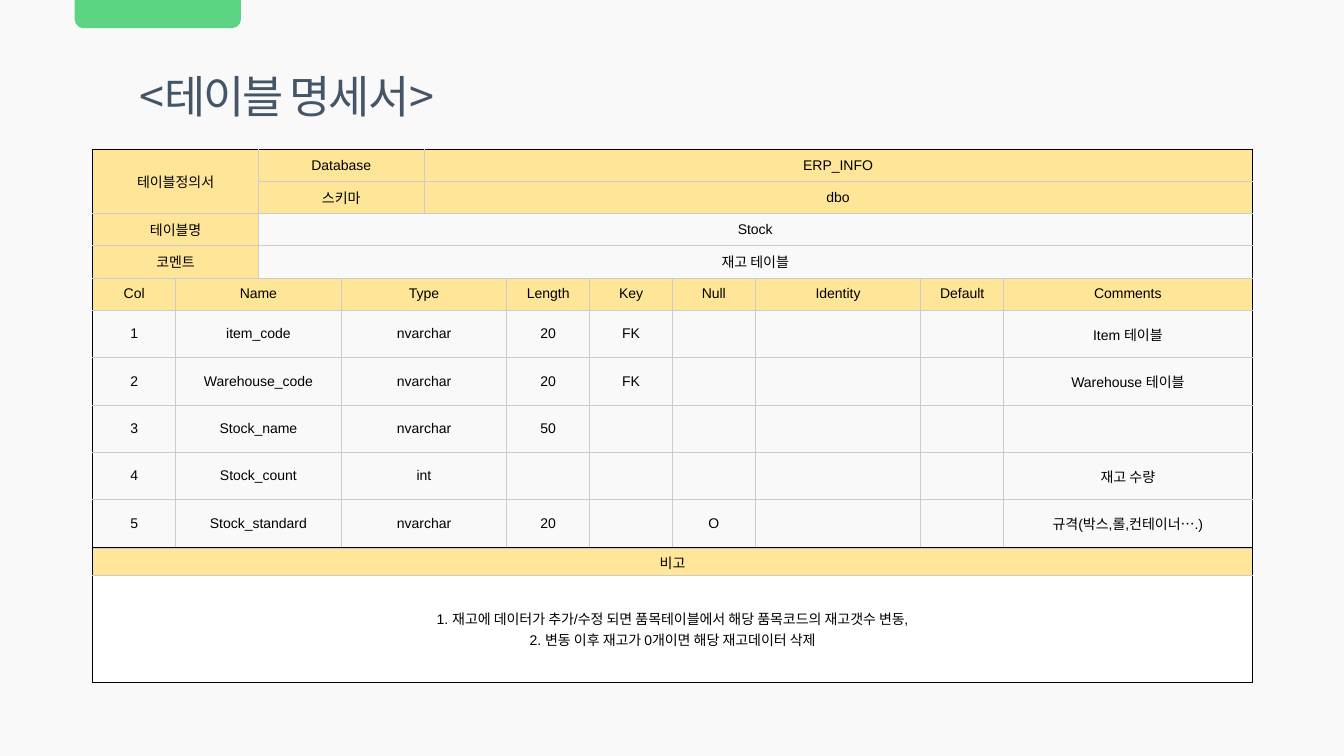
from dataclasses import dataclass
from itertools import accumulate

from pptx import Presentation
from pptx.dml.color import RGBColor
from pptx.enum.shapes import MSO_SHAPE
from pptx.enum.text import MSO_ANCHOR, MSO_AUTO_SIZE, PP_ALIGN
from pptx.oxml import parse_xml
from pptx.oxml.ns import nsdecls
from pptx.util import Inches, Pt


@dataclass(frozen=True)
class Theme:
    """Colours, fonts and type sizes of the slide."""
    page: str = "F9F9F9"
    tab: str = "5CD484"
    title: str = "445566"
    ink: str = "000000"
    grid: str = "CCCCCC"
    header: str = "FFE598"
    remark: str = "FFE699"
    note: str = "FFFFFF"
    latin: str = "Arial"
    korean: str = "Noto Sans CJK KR"
    title_size: float = 32
    cell_size: float = 10
    line: float = 0.75


T = Theme()
WIDTH, HEIGHT = 13.33, 7.5
LEFT, TOP, TABLE_WIDTH = 0.92, 1.48, 11.5
UNIT = TABLE_WIDTH / 14
COLUMNS = [UNIT] * 8 + [2 * UNIT, UNIT, 3 * UNIT]
ROWS = [0.32] * 5 + [0.47] * 5
REMARK_ROWS = [0.27, 1.06]
TAB_LEFT = 0.74
FIELD_SPANS = (1, 2, 2, 1, 1, 1, 1, 1, 1)
FIELDS = [
    ("Col", "Name", "Type", "Length", "Key", "Null", "Identity", "Default", "Comments"),
    ("1", "item_code", "nvarchar", "20", "FK", "", "", "", "Item 테이블"),
    ("2", "Warehouse_code", "nvarchar", "20", "FK", "", "", "", "Warehouse 테이블"),
    ("3", "Stock_name", "nvarchar", "50", "", "", "", "", ""),
    ("4", "Stock_count", "int", "", "", "", "", "", "재고 수량"),
    ("5", "Stock_standard", "nvarchar", "20", "", "O", "", "", "규격(박스,롤,컨테이너….)"),
]
NOTE = ("1. 재고에 데이터가 추가/수정 되면 품목테이블에서 해당 품목코드의 재고갯수 변동,\v"
        "2. 변동 이후 재고가 0개이면 해당 재고데이터 삭제")


def rgb(color):
    """Turn a hex string into a colour."""
    return RGBColor.from_string(color)


def write(tf, text, size=T.cell_size, color=T.ink, font=T.latin, spacing=None):
    """Put centred, formatted text into a text frame."""
    p = tf.paragraphs[0]
    p.text = text
    p.alignment = PP_ALIGN.CENTER
    for r in p.runs:
        r.font.size, r.font.name = Pt(size), font
        r.font.color.rgb = rgb(color)
        rPr = r.font._element
        rPr.append(parse_xml(f'<a:ea {nsdecls("a")} typeface="{T.korean}"/>'))
        if spacing is not None:
            rPr.set("spc", str(round(spacing * 100)))


def add_tab(s):
    """Draw the green tab hanging from the top edge."""
    sp = s.shapes.add_shape(MSO_SHAPE.ROUND_2_SAME_RECTANGLE, Inches(TAB_LEFT), 0,
                            Inches(1.65), Inches(0.28))
    sp.adjustments[0], sp.adjustments[1] = 0, 0.32
    sp.shadow.inherit = False
    sp.fill.solid()
    sp.fill.fore_color.rgb = rgb(T.tab)
    sp.line.fill.background()


def add_title(s, text):
    """Add the slide heading."""
    tf = s.shapes.add_textbox(Inches(TAB_LEFT), Inches(0.63), Inches(4.21),
                              Inches(0.64)).text_frame
    tf.word_wrap = True
    tf.auto_size = MSO_AUTO_SIZE.SHAPE_TO_FIT_TEXT
    write(tf, text, size=T.title_size, color=T.title, font=T.korean, spacing=-1.5)


def add_table(s, top, columns, rows):
    """Add an empty table with the given column widths and row heights."""
    table = s.shapes.add_table(len(rows), len(columns), Inches(LEFT), Inches(top),
                               Inches(sum(columns)), Inches(sum(rows))).table
    table.first_row = table.horz_banding = False
    for column, width in zip(table.columns, columns):
        column.width = Inches(width)
    for row, height in zip(table.rows, rows):
        row.height = Inches(height)
    return table


def set_borders(cell, **colors):
    """Draw the cell's edges in the given colours."""
    tcPr = cell._tc.get_or_add_tcPr()
    for side, color in colors.items():
        tcPr.append(parse_xml(
            f'<a:ln{side} {nsdecls("a")} w="{Pt(T.line)}"><a:solidFill>'
            f'<a:srgbClr val="{color}"/></a:solidFill></a:ln{side}>'))


def fill_cell(table, row, col, text, fill=None, span=(1, 1), top=T.grid):
    """Merge, border, fill and write one cell."""
    cell = table.cell(row, col)
    end_row, end_col = row + span[0], col + span[1]
    if span != (1, 1):
        cell.merge(table.cell(end_row - 1, end_col - 1))
    set_borders(cell, L=T.grid if col else T.ink,
                R=T.ink if end_col == len(table.columns) else T.grid,
                T=T.grid if row else top,
                B=T.ink if end_row == len(table.rows) else T.grid)
    if fill:
        cell.fill.solid()
        cell.fill.fore_color.rgb = rgb(fill)
    else:
        cell.fill.background()
    cell.margin_left = cell.margin_right = Inches(0.02)
    cell.margin_top = cell.margin_bottom = Inches(0.02)
    cell.vertical_anchor = MSO_ANCHOR.MIDDLE
    write(cell.text_frame, text)


def add_definition(s):
    """Add the table definition with its field list."""
    table = add_table(s, TOP, COLUMNS, ROWS)
    fill_cell(table, 0, 0, "테이블정의서", T.header, (2, 2), T.ink)
    for row, (label, value) in enumerate([("Database", "ERP_INFO"), ("스키마", "dbo")]):
        fill_cell(table, row, 2, label, T.header, (1, 2), T.ink)
        fill_cell(table, row, 4, value, T.header, (1, 7), T.ink)
    for row, (label, value) in enumerate([("테이블명", "Stock"), ("코멘트", "재고 테이블")], 2):
        fill_cell(table, row, 0, label, T.header, (1, 2))
        fill_cell(table, row, 2, value, span=(1, 9))
    starts = list(accumulate(FIELD_SPANS, initial=0))
    for row, texts in enumerate(FIELDS, 4):
        fill = T.header if row == 4 else None
        for col, span, text in zip(starts, FIELD_SPANS, texts):
            fill_cell(table, row, col, text, fill, (1, span))


def add_remarks(s):
    """Add the remarks table below the definition."""
    table = add_table(s, TOP + sum(ROWS) + 0.01, [TABLE_WIDTH], REMARK_ROWS)
    fill_cell(table, 0, 0, "비고", T.remark)
    fill_cell(table, 1, 0, NOTE, T.note)


def main():
    """Build and save the slide."""
    prs = Presentation()
    prs.slide_width, prs.slide_height = Inches(WIDTH), Inches(HEIGHT)
    s = prs.slides.add_slide(prs.slide_layouts[6])
    s.background.fill.solid()
    s.background.fill.fore_color.rgb = rgb(T.page)
    add_tab(s)
    add_title(s, "<테이블 명세서>")
    add_definition(s)
    add_remarks(s)
    prs.save("out.pptx")


if __name__ == "__main__":
    main()
